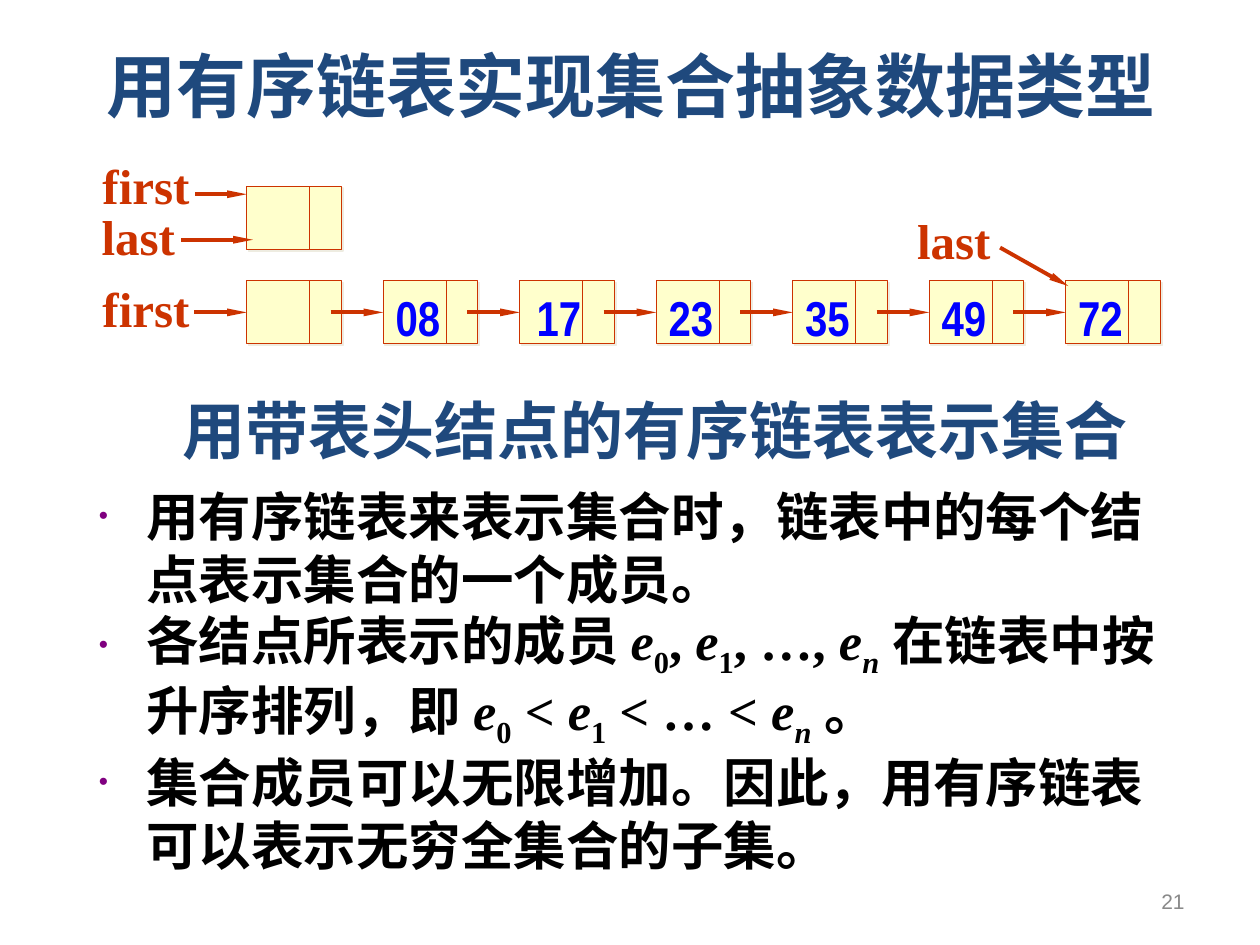
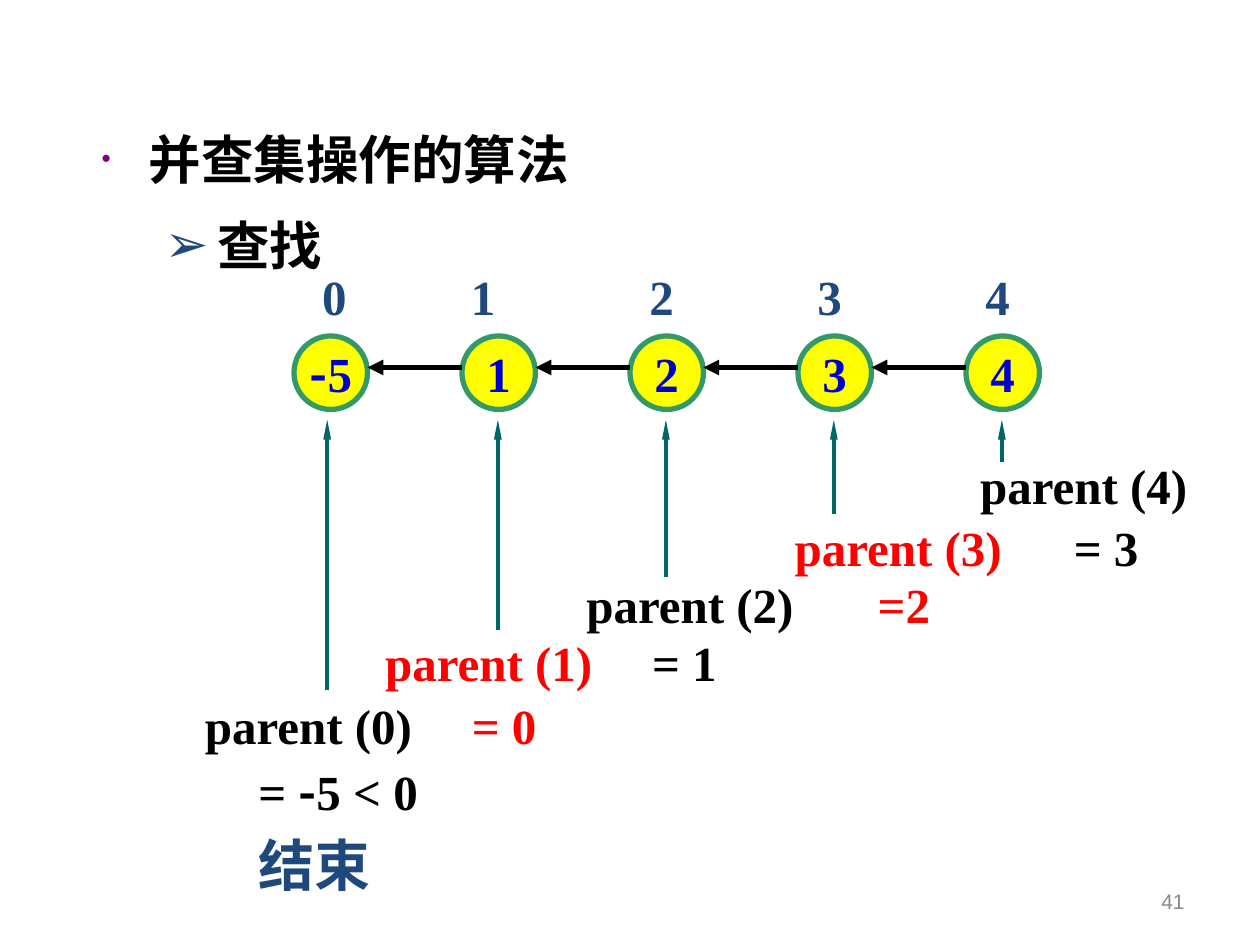
from dataclasses import dataclass
from typing import Optional, Sequence, Union

import pptx
import pptx.dml.color
import pptx.enum.shapes
import pptx.enum.text
import pptx.oxml
import pptx.oxml.ns
import pptx.util

Pt = pptx.util.Pt
ALIGN = pptx.enum.text.PP_ALIGN
ANCHOR = pptx.enum.text.MSO_ANCHOR
SHAPE = pptx.enum.shapes.MSO_SHAPE


@dataclass(frozen=True)
class Theme:
    navy: str = "1F497D"
    black: str = "000000"
    red: str = "FF0000"
    rust: str = "CC3300"
    cream: str = "FFFFCC"
    shade: str = "EEECE1"
    blue: str = "0000FF"
    ink: str = "0000CC"
    yellow: str = "FFFF00"
    green: str = "339966"
    teal: str = "006666"
    purple: str = "800080"
    grey: str = "898989"
    serif: str = "Times New Roman"
    sans: str = "Calibri"
    narrow: str = "Arial Narrow"
    plain: str = "Arial"
    cjk: str = "Noto Sans CJK SC"
    title: int = 40
    subtitle: int = 36
    end: int = 32
    body: int = 30
    label: int = 28
    footer: int = 12
    leading: float = 1.2


THEME = Theme()


@dataclass(frozen=True)
class Span:
    text: str
    italic: bool = False
    sub: bool = False
    colour: Optional[str] = None
    font: Optional[str] = None


@dataclass(frozen=True)
class Bullet:
    mark: str
    colour: str
    percent: int
    left: float
    hang: float


@dataclass(frozen=True)
class Box:
    left: float
    top: float
    width: float
    height: float


@dataclass(frozen=True)
class ParentCall:
    """One call of parent(): its label, its result and the arrow to its node."""
    index: int
    left: float
    top: float
    colour: str
    arrow_x: float
    arrow_bottom: float
    result: str = ""
    tab: float = 0
    result_colour: str = THEME.black


Text = Union[str, Sequence[Span]]
DOT = Bullet("•", THEME.purple, 50, 27, 27)
ARROW_MARK = Bullet("➢", THEME.navy, 100, 66, 30)


def rgb(colour: str):
    return pptx.dml.color.RGBColor.from_string(colour)


def add_xml(parent, markup: str) -> None:
    """Append one DrawingML element; the prefix a: is declared here."""
    head, mark, tail = markup.partition(" ")
    spaced = f"{head} {pptx.oxml.ns.nsdecls('a')}{mark}{tail}"
    parent.append(pptx.oxml.parse_xml(spaced))


# Text

def write(frame, text: Text, *, size: float, colour: str = THEME.black,
          font: str = THEME.serif, bold: bool = True, align=ALIGN.LEFT,
          leading: Optional[float] = None, before: float = 0,
          bullet: Optional[Bullet] = None, tab: float = 0,
          more: bool = False) -> None:
    """Write one paragraph; leading is in points, and more adds to the box."""
    para = frame.add_paragraph() if more else frame.paragraphs[0]
    para.alignment = align
    if leading:
        para.line_spacing = Pt(leading)
    if before:
        para.space_before = Pt(before)
    props = para._p.get_or_add_pPr()
    if bullet:
        props.set("marL", str(Pt(bullet.left)))
        props.set("indent", str(-Pt(bullet.hang)))
        add_xml(props, f'<a:buClr ><a:srgbClr val="{bullet.colour}"/></a:buClr>')
        add_xml(props, f'<a:buSzPct val="{bullet.percent * 1000}"/>')
        add_xml(props, f'<a:buFont typeface="{THEME.plain}"/>')
        add_xml(props, f'<a:buChar char="{bullet.mark}"/>')
    if tab:
        add_xml(props, f'<a:tabLst ><a:tab pos="{Pt(tab)}" algn="l"/></a:tabLst>')
    for span in [Span(text)] if isinstance(text, str) else text:
        run = para.add_run()
        run.text = span.text
        run.font.size = Pt(size)
        run.font.bold = bold
        run.font.italic = span.italic
        run.font.color.rgb = rgb(span.colour or colour)
        run.font.name = span.font or font
        run_props = run._r.get_or_add_rPr()
        if span.sub:
            run_props.set("baseline", "-25000")
        add_xml(run_props, f'<a:ea typeface="{THEME.cjk}"/>')


def add_box(page, box: Box, anchor=ANCHOR.TOP):
    frame = page.shapes.add_textbox(
        Pt(box.left), Pt(box.top), Pt(box.width), Pt(box.height)).text_frame
    frame.word_wrap = True
    frame.vertical_anchor = anchor
    return frame


def add_label(page, text: Text, left: float, top: float, width: float,
              size: float = THEME.label, **style) -> None:
    leading = size * THEME.leading
    frame = add_box(page, Box(left, top, width, leading + 7.2))
    write(frame, text, size=size, leading=leading, **style)


def add_page_number(page, number: int) -> None:
    frame = add_box(page, Box(516, 500.5, 168, 28.8), ANCHOR.MIDDLE)
    write(frame, str(number), size=THEME.footer, colour=THEME.grey,
          font=THEME.plain, bold=False, align=ALIGN.RIGHT)


# Shapes and lines

def add_outline(page, kind, box: Box, fill: str, line: str, weight: float):
    shape = page.shapes.add_shape(
        kind, Pt(box.left), Pt(box.top), Pt(box.width), Pt(box.height))
    shape.shadow.inherit = False
    shape.fill.solid()
    shape.fill.fore_color.rgb = rgb(fill)
    shape.line.color.rgb = rgb(line)
    shape.line.width = Pt(weight)
    return shape


def add_line(page, x1: float, y1: float, x2: float, y2: float, colour: str,
             weight: float, head: Optional[tuple] = None) -> None:
    """Draw a line; head gives the width and length of its arrowhead."""
    line = page.shapes.add_connector(
        pptx.enum.shapes.MSO_CONNECTOR.STRAIGHT, Pt(x1), Pt(y1), Pt(x2), Pt(y2))
    line.line.color.rgb = rgb(colour)
    line.line.width = Pt(weight)
    if head:
        add_xml(line.line._get_or_add_ln(),
                f'<a:tailEnd type="triangle" w="{head[0]}" len="{head[1]}"/>')
    add_xml(line._element.spPr, "<a:effectLst />")


SLIM, MEDIUM = ("sm", "lg"), ("med", "med")


def add_list_node(page, left: float, top: float) -> None:
    """Draw a list node with its link field and a faint shadow."""
    cell = add_outline(page, SHAPE.RECTANGLE, Box(left, top, 54, 36),
                       THEME.cream, THEME.rust, 0.75)
    effects = cell._element.spPr.find(pptx.oxml.ns.qn("a:effectLst"))
    add_xml(effects, f'<a:outerShdw dist="{Pt(1.4)}" dir="2700000">'
                     f'<a:srgbClr val="{THEME.shade}"/></a:outerShdw>')
    add_line(page, left + 36, top, left + 36, top + 36, THEME.rust, 0.75)


def add_pointer(page, x1: float, y1: float, x2: float, y2: float) -> None:
    add_line(page, x1, y1, x2, y2, THEME.rust, 2.25, SLIM)


# Slide: sorted linked list

def build_sorted_list(page) -> None:
    frame = add_box(page, Box(36.5, 7.2, 648, 82), ANCHOR.MIDDLE)
    write(frame, "用有序链表实现集合抽象数据类型", size=THEME.title,
          colour=THEME.navy, font=THEME.sans, align=ALIGN.CENTER)

    # Empty list, then the list with its values
    left, pitch, empty_top, list_top = 141, 78, 106.5, 160.5
    add_list_node(page, left, empty_top)
    add_pointer(page, 111.5, 111, left, 111)
    add_pointer(page, 103.5, 137, 144.5, 137)
    for i, value in enumerate(["", "08", "17", "23", "35", "49", "72"]):
        x = left + pitch * i
        add_list_node(page, x, list_top)
        if value:
            nudge = 2.5 if value == "17" else 0
            add_label(page, value, x + nudge, list_top, 48,
                      colour=THEME.blue, font=THEME.narrow)
    for i in range(7):
        x = left + pitch * i
        add_pointer(page, x - 30, list_top + 18, x, list_top + 18)
    add_pointer(page, 571.5, 141.5, 610.5, 163.5)
    for name, x, y in [("first", 51.5, 85.5), ("last", 51, 114.5),
                       ("first", 51.5, 155.5), ("last", 517, 116.5)]:
        add_label(page, name, x, y, 80, colour=THEME.rust)

    add_label(page, "用带表头结点的有序链表表示集合", 84, 220, 580,
              size=THEME.subtitle, colour=THEME.navy, align=ALIGN.CENTER)

    # Explanation
    def member(index: str) -> list:
        return [Span("e", italic=True),
                Span(index, italic=index == "n", sub=True)]

    order = [Span("各结点所表示的成员 "), *member("0"), Span(", "),
             *member("1"), Span(", …, "), *member("n"),
             Span(" 在链表中按升序排列，即 "), *member("0"), Span(" < "),
             *member("1"), Span(" < … < "), *member("n"), Span(" 。")]
    points = [
        ("用有序链表来表示集合时，链表中的每个结点表示集合的一个成员。", 36),
        (order, 40),
        ("集合成员可以无限增加。因此，用有序链表可以表示无穷全集合的子集。", 36),
    ]
    frame = add_box(page, Box(49.5, 273, 631, 232))
    for i, (text, leading) in enumerate(points):
        write(frame, text, size=THEME.body, leading=leading, bullet=DOT,
              more=i > 0)
    add_page_number(page, 21)


# Slide: find operation

def build_find(page) -> None:
    frame = add_box(page, Box(51, 63.5, 612, 100))
    write(frame, "并查集操作的算法", size=THEME.body, font=THEME.sans,
          leading=41.5, bullet=DOT)
    write(frame, "查找", size=THEME.body, font=THEME.sans, leading=41.5,
          before=7.5, bullet=ARROW_MARK, more=True)

    # Chain of nodes, each pointing to its parent
    left, pitch, top, diameter = 168, 96, 192, 42
    minus = Span("-", font=THEME.cjk)
    values = [[minus, Span("5")], "1", "2", "3", "4"]
    index_lefts = [177, 262, 364, 460, 556]
    for i, (value, index_left) in enumerate(zip(values, index_lefts)):
        x = left + pitch * i
        node = add_outline(page, SHAPE.OVAL, Box(x, top, diameter, diameter),
                           THEME.yellow, THEME.green, 3)
        frame = node.text_frame
        frame.margin_left = frame.margin_right = 0
        frame.margin_top = frame.margin_bottom = 0
        frame.word_wrap = False
        frame.vertical_anchor = ANCHOR.MIDDLE
        write(frame, value, size=THEME.label, colour=THEME.ink,
              align=ALIGN.CENTER, leading=THEME.label * THEME.leading)
        if i:
            add_line(page, x, 210, x - pitch + diameter, 210,
                     THEME.black, 3, MEDIUM)
        add_label(page, str(i), index_left, 148.5, 40, colour=THEME.navy)

    # Steps from node 4 up to the root
    calls = [
        ParentCall(4, 553, 257, THEME.black, 572.5, 264),
        ParentCall(3, 447, 292, THEME.red, 476.5, 294, "= 3", 159.5),
        ParentCall(2, 328, 325, THEME.black, 380.5, 330, "=2", 166.5, THEME.red),
        ParentCall(1, 213, 358, THEME.red, 284.5, 360, "= 1", 152.5),
        ParentCall(0, 110, 394, THEME.black, 187, 394.5, "= 0", 152.5, THEME.red),
    ]
    for call in calls:
        add_line(page, call.arrow_x, call.arrow_bottom, call.arrow_x, 240,
                 THEME.teal, 2.25, SLIM)
        spans = [Span(f"parent ({call.index})")]
        if call.result:
            spans.append(Span(f"\t{call.result}", colour=call.result_colour))
        add_label(page, spans, call.left, call.top, call.tab + 60 if call.tab
                  else 140, colour=call.colour, tab=call.tab)
    add_label(page, [Span("= "), minus, Span("5 < 0")], 140.5, 431.5, 130)
    add_label(page, "结束", 140.5, 471, 100, size=THEME.end, colour=THEME.navy)
    add_page_number(page, 41)


def main() -> None:
    deck = pptx.Presentation()
    deck.slide_width, deck.slide_height = Pt(720), Pt(540)
    for build in (build_sorted_list, build_find):
        build(deck.slides.add_slide(deck.slide_layouts[6]))
    deck.save("out.pptx")


if __name__ == "__main__":
    main()
